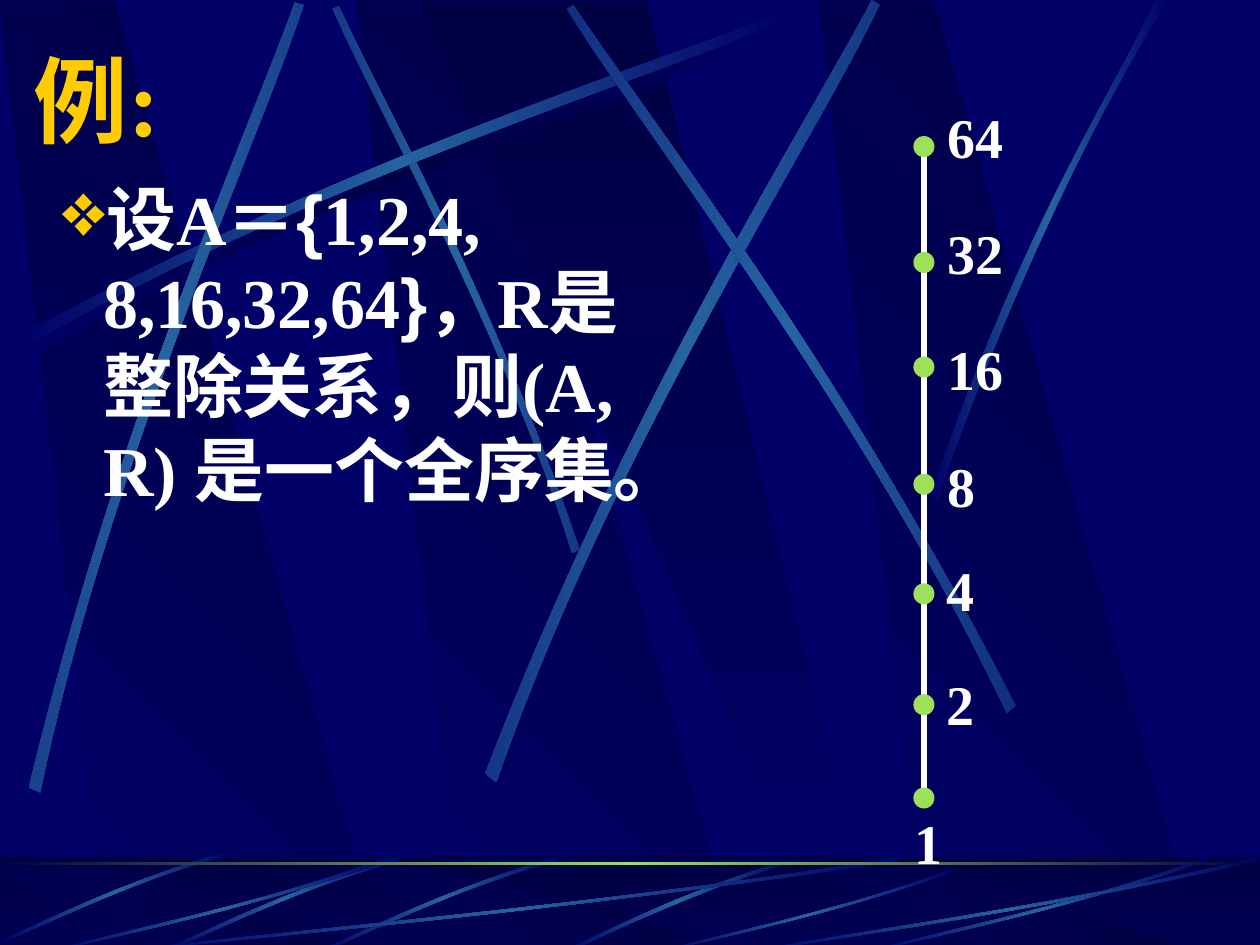
from math import cos, radians, sin

from lxml.etree import SubElement
from pptx import Presentation
from pptx.dml.color import RGBColor
from pptx.enum.shapes import MSO_CONNECTOR as CONN, MSO_SHAPE as SHAPE
from pptx.enum.text import MSO_ANCHOR as ANCHOR, MSO_AUTO_SIZE as AUTO
from pptx.oxml import parse_xml
from pptx.oxml.ns import nsdecls, qn
from pptx.util import Inches, Pt

# Grid of 100 columns and 75 rows; every length below is in its cells
COLS, ROWS = 100, 75
CELL = Inches(10) // COLS

NIGHT, NAVY, BLUE = "000044", "000066", "2663A0"
GREEN, GOLD, WHITE = "9CE157", "FFCC00", "FFFFFF"
SERIF, SANS, CJK = "Times New Roman", "Arial", "Noto Sans CJK SC"
GLOW, SHADE = (NAVY, BLUE, NAVY), (NAVY, NIGHT, NAVY)

# Streaks: start, two controls and end of one edge, then of the edge back
RISING = [(1.4, 26.7), (27.8, 12.5), (51.8, 5.1), (62, 1),
          (62.3, 1.6), (52.2, 6.1), (24.8, 14.3), (1.7, 27.7)]
UPPER_STREAKS = [
    (45, [(46, 43.6), (39.1, 23.4), (30.2, 7.7), (26.9, 0.5),
          (26.4, 0.7), (29.5, 7.9), (39.8, 25.8), (45.4, 43.9)]),
    (0, RISING),
    (311.7, [(2.3, 62.5), (9.3, 33.4), (19.7, 10.5), (23.4, 0.2),
             (24.1, 0.4), (20.7, 10.9), (8.6, 36.8), (3.2, 62.9)]),
    (321.6, [(38.5, 61.4), (49.8, 32), (63.8, 10.2), (69.2, 0),
             (69.8, 0.4), (64.9, 10.8), (48.6, 35.5), (39.4, 62.1)]),
    (34.8, [(80.6, 56), (67, 29.3), (51.6, 9.5), (45.5, 0.4),
            (45, 0.7), (50.7, 10.1), (68.5, 32.5), (79.9, 56.6)]),
    (0, [(73.8, 39.4), (81.4, 17.3), (88.8, 6.6), (91.7, 0),
         (92.7, 0), (83.6, 14.5), (76.9, 32.2), (74.4, 39.7)]),
]
FLOOR_ARC = [(62.7, 68.2), (53.7, 70.9), (47.7, 74.2), (44.8, 75.4),
             (45.3, 75.5), (49, 73.7), (57.1, 70), (62.8, 68.5)]
FLOOR_TILT = [(18.6, 0), (9.9, 2.5), (3.1, 6), (0, 7.3),
              (0.1, 7.5), (3.2, 6.3), (10.9, 2.3), (18.8, 0.3)]
# The long floor sweeps share one outline, as shares of their own box
SWEEP = [(1, 0.04), (0.57, 0.57), (0.17, 0.85), (0.005, 1),
         (0, 0.99), (0.165, 0.81), (0.62, 0.51), (0.995, 0)]


def cells(*values):
    return [round(v * CELL) for v in values]


def color(hex_string):
    return RGBColor.from_string(hex_string)


def solid(shape, hex_string, alpha=None):
    shape.fill.solid()
    shape.fill.fore_color.rgb = color(hex_string)
    if alpha:
        clr = shape.fill._xPr.find(qn("a:solidFill"))[0]
        SubElement(clr, qn("a:alpha"), val=str(alpha * 1000))


def gradient(shape, stops, angle):
    step = 100000 // (len(stops) - 1)
    gs = "".join(f'<a:gs pos="{i * step}"><a:srgbClr val="{c}"/></a:gs>'
                 for i, c in enumerate(stops))
    shape.fill.background()
    sp_pr = shape.fill._xPr
    sp_pr.replace(sp_pr.find(qn("a:noFill")), parse_xml(
        f'<a:gradFill {nsdecls("a")} rotWithShape="0"><a:gsLst>{gs}</a:gsLst>'
        f'<a:lin ang="{angle * 60000}" scaled="0"/></a:gradFill>'))


def plain(sp):
    sp.shadow.inherit = False
    sp.line.fill.background()
    return sp


def shape(s, kind, x, y, w, h):
    return plain(s.shapes.add_shape(kind, *cells(x, y, w, h)))


def outline(s, points):
    start, *rest = [cells(*p) for p in points]
    builder = s.shapes.build_freeform(*start)
    builder.add_line_segments(rest, close=True)
    return plain(builder.convert_to_shape())


def bend(sp):
    """Turn each edge of three line segments into one curve."""
    lines = list(sp._element.iter(qn("a:lnTo")))
    for edge in (lines[:3], lines[4:7]):
        curve = parse_xml(f'<a:cubicBezTo {nsdecls("a")}/>')
        edge[0].addprevious(curve)
        for line in edge:
            curve.append(line[0])
            line.getparent().remove(line)


def moved(points, dx, dy):
    return [(x + dx, y + dy) for x, y in points]


def turned(points, degrees):
    c, n = cos(radians(degrees)), sin(radians(degrees))
    return [(x * c - y * n, x * n + y * c) for x, y in points]


def streak(s, points, stops=GLOW, rotation=0):
    """Draw a curved streak, laid out flat and then rotated in place."""
    flat = turned(points, -rotation)
    xs, ys = zip(*flat)
    mid = ((min(xs) + max(xs)) / 2, (min(ys) + max(ys)) / 2)
    (cx, cy), = turned([mid], rotation)
    sp = outline(s, moved(flat, cx - mid[0], cy - mid[1]))
    bend(sp)
    sp.rotation = rotation
    gradient(sp, stops, 180)


def slabs(s, top, bottom):
    for x in (28.3, 0, 65):
        sp = outline(s, [(x + 8.6, bottom), (x + 30.2, bottom),
                         (x + 9.1, top), (x, top)])
        gradient(sp, (NIGHT, NAVY), 135)
    sp = outline(s, [(33.3, top), (65.8, bottom), (69.4, bottom), (51.3, top)])
    gradient(sp, (NIGHT, NAVY), 90)


def text_box(s, x, y, w, h, wrap=True, anchor=ANCHOR.TOP):
    tf = s.shapes.add_textbox(*cells(x, y, w, h)).text_frame
    tf.word_wrap = wrap
    tf.auto_size = AUTO.NONE if wrap else AUTO.SHAPE_TO_FIT_TEXT
    tf.vertical_anchor = anchor
    return tf.paragraphs[0]


def add_run(p, text, size, hex_string=WHITE, font=SERIF):
    r = p.add_run()
    r.text = text
    r.font.size, r.font.bold, r.font.name = Pt(size), True, font
    r.font.color.rgb = color(hex_string)
    SubElement(r.font._element, qn("a:ea"), typeface=CJK)


def add_bullet(p, char, hex_string, percent, margin, hang):
    p_pr = p._p.get_or_add_pPr()
    p_pr.set("marL", str(cells(margin)[0]))
    p_pr.set("indent", str(cells(-hang)[0]))
    clr = SubElement(p_pr, qn("a:buClr"))
    SubElement(clr, qn("a:srgbClr"), val=hex_string)
    SubElement(p_pr, qn("a:buSzPct"), val=str(percent * 1000))
    SubElement(p_pr, qn("a:buChar"), char=char)


def backdrop(s):
    s.background.fill.solid()
    s.background.fill.fore_color.rgb = color(NAVY)
    slabs(s, 0.1, 75.2)
    streak(s, moved(RISING, 0.6, 0.8), SHADE)
    for rotation, points in UPPER_STREAKS:
        streak(s, points, rotation=rotation)


def floor(s):
    band = (0, 68, COLS, 7.5)
    gradient(shape(s, SHAPE.RECTANGLE, *band), (NIGHT, NAVY), 90)
    slabs(s, 68.8, 75.5)
    solid(shape(s, SHAPE.RECTANGLE, *band), NIGHT, alpha=50)
    streak(s, FLOOR_ARC)
    for x, y, scale in ((25.6, 68, 1), (13.1, 68, 1), (0.1, 67.6, 0.96)):
        tilt = [(u * scale, v * scale) for u, v in FLOOR_TILT]
        streak(s, moved(tilt, x, y), rotation=314.9)
    for x, y, w in ((10, 68, 61.7), (4.2, 68, 26.7), (52.7, 68.9, 23.1),
                    (69.2, 68, 26.7), (60, 68, 40)):
        streak(s, [(x + u * w, y + v * (75.5 - y)) for u, v in SWEEP])
    gradient(shape(s, SHAPE.RECTANGLE, 0, 68.4, COLS, 0.24),
             (NIGHT, GREEN, NIGHT), 180)


def chain(s):
    x, dot = 73.33, 1.67
    line = s.shapes.add_connector(CONN.STRAIGHT, *cells(x, 11.7, x, 63.3))
    line.line.color.rgb, line.line.width = color(WHITE), Pt(3)
    SubElement(line._element.spPr, qn("a:effectLst"))
    # Number, top of its node, left and top of its label
    for number, node, left, top in (
            (64, 10.8, 74.2, 6.6), (32, 20, 74.2, 15.8), (16, 28.3, 74.2, 25),
            (8, 37.6, 74.2, 34.3), (4, 46.3, 74.1, 42.5),
            (2, 55.1, 74.1, 51.6), (1, 62.5, 71.6, 62.6)):
        solid(shape(s, SHAPE.OVAL, x - dot / 2, node, dot, dot), GREEN)
        width = 6.6 if number > 9 else 4.2
        p = text_box(s, left, top, width, 7.4, wrap=False)
        p.line_spacing = 1.2
        add_run(p, str(number), 32)


def main():
    prs = Presentation()
    prs.slide_width, prs.slide_height = cells(COLS, ROWS)
    s = prs.slides.add_slide(prs.slide_layouts[6])
    backdrop(s)
    floor(s)
    # Title and statement
    add_run(text_box(s, 1.7, 2.8, 95, 10, anchor=ANCHOR.MIDDLE), "例:", 54, GOLD)
    p = text_box(s, 2.5, 13.4, 49.9, 56.7)
    add_bullet(p, "❖", GOLD, 108, margin=4.7, hang=3.2)
    for text, font in (("设A＝", SERIF), ("{", SANS), ("1,2,4, 8,16,32,64", SERIF),
                       ("}", SANS), ("，R是整除关系，则(A, R) ", SERIF),
                       ("是一个全序集。", CJK)):
        add_run(p, text, 40, font=font)
    chain(s)
    prs.save("out.pptx")


if __name__ == "__main__":
    main()
